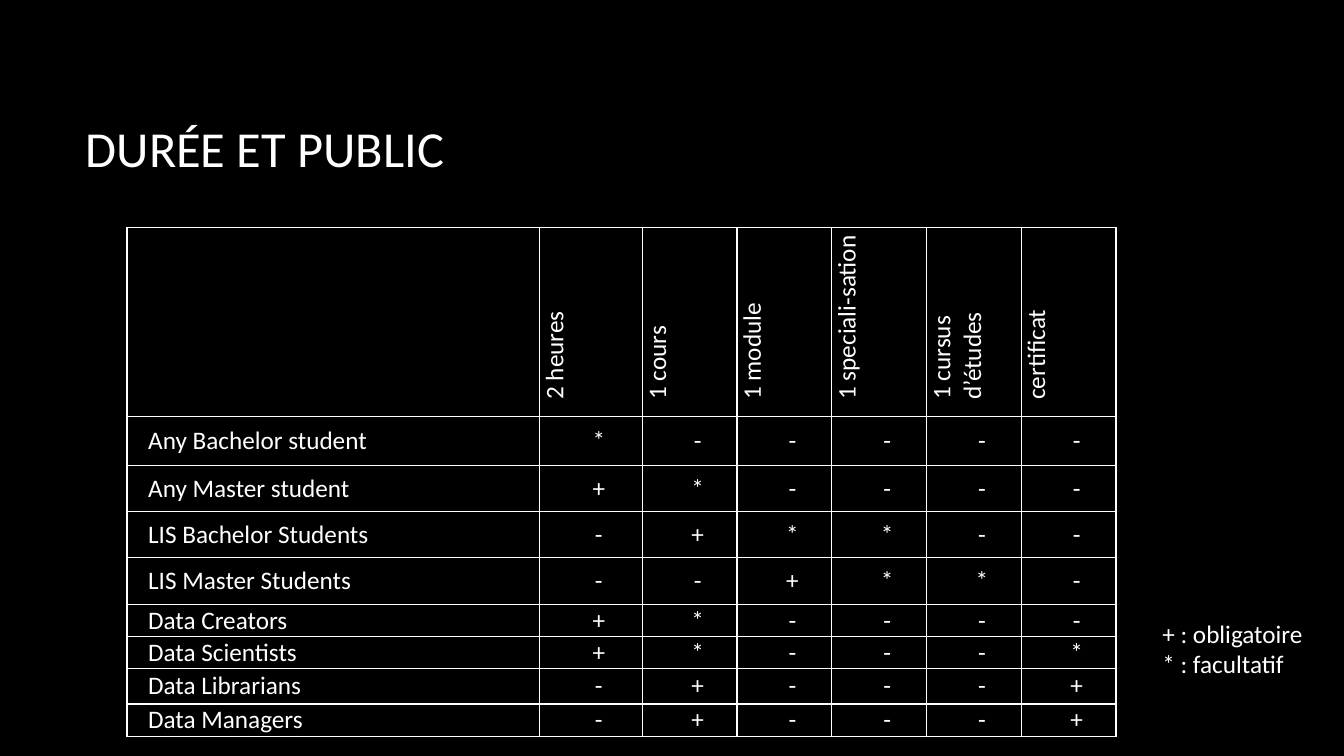
import pptx
import pptx.util
import pptx.dml.color
import pptx.enum.text
import pptx.oxml
import pptx.oxml.ns

Inches, Pt = pptx.util.Inches, pptx.util.Pt
ALIGN = pptx.enum.text.PP_ALIGN
MIDDLE = pptx.enum.text.MSO_ANCHOR.MIDDLE

# Content
TITLE = "DURÉE ET PUBLIC"
DURATIONS = ["2 heures", "1 cours", "1 module", "1 speciali-sation",
             "1 cursus d’études", "certificat"]
AUDIENCES = [
    ("Any Bachelor student", "*-----"),
    ("Any Master student", "+*----"),
    ("LIS Bachelor Students", "-+**--"),
    ("LIS Master Students", "--+**-"),
    ("Data Creators", "+*----"),
    ("Data Scientists", "+*---*"),
    ("Data Librarians", "-+---+"),
    ("Data Managers", "-+---+"),
]
LEGEND = ["+ : obligatoire", "* : facultatif"]

# Theme and layout
THEME = {"font": "Calibri", "ink": "FFFFFF", "back": "000000",
         "title": 36, "body": 18, "border": 1}
COL_WIDTHS = [4.09, 1.02] + [0.94] * 5
ROW_HEIGHTS = [1.41, 0.48, 0.46, 0.46, 0.46, 0.32, 0.32, 0.35, 0.32]
CELL_FORMAT = {"margin_left": Inches(0.05), "margin_right": Inches(0.05),
               "margin_top": 0, "margin_bottom": 0, "vertical_anchor": MIDDLE}
HEADER_INDENT = {"marL": Inches(0.12), "indent": 0}
BODY_INDENT = {"marL": 0, "indent": Inches(0.16)}


def color(name):
    return pptx.dml.color.RGBColor.from_string(THEME[name])


def write(p, text, size, align=ALIGN.LEFT, indent=None):
    p.alignment = align
    for name, value in (indent or {}).items():
        p._p.get_or_add_pPr().set(name, str(value))
    r = p.add_run()
    r.text = text
    for name, value in {"name": THEME["font"], "size": Pt(THEME[size])}.items():
        setattr(r.font, name, value)
    r.font.color.rgb = color("ink")


def add_borders(cell):
    tcPr = cell._tc.get_or_add_tcPr()
    for i, side in enumerate(("lnL", "lnR", "lnT", "lnB")):
        tcPr.insert(i, pptx.oxml.parse_xml(
            f'<a:{side} {pptx.oxml.ns.nsdecls("a")} w="{Pt(THEME["border"])}">'
            f'<a:solidFill><a:srgbClr val="{THEME["ink"]}"/></a:solidFill>'
            f'</a:{side}>'))


def add_title(slide):
    sp = slide.shapes.title
    box = {"left": 0.75, "top": 0.67, "width": 11.08, "height": 1.59}
    for name, value in box.items():
        setattr(sp, name, Inches(value))
    sp.text_frame.vertical_anchor = MIDDLE
    write(sp.text_frame.paragraphs[0], TITLE, "title")


def add_audience_table(slide):
    rows = [["", *DURATIONS]] + [[name, *marks] for name, marks in AUDIENCES]
    table = slide.shapes.add_table(
        len(rows), len(COL_WIDTHS), Inches(1.26), Inches(2.26),
        Inches(sum(COL_WIDTHS)), Inches(sum(ROW_HEIGHTS))).table
    table.first_row = table.horz_banding = False
    for col, width in zip(table.columns, COL_WIDTHS):
        col.width = Inches(width)
    for row, height in zip(table.rows, ROW_HEIGHTS):
        row.height = Inches(height)

    for i, texts in enumerate(rows):
        for j, text in enumerate(texts):
            cell = table.cell(i, j)
            for name, value in CELL_FORMAT.items():
                setattr(cell, name, value)
            cell.fill.background()
            add_borders(cell)
            if not text:
                continue
            if i == 0:
                cell._tc.get_or_add_tcPr().set("vert", "vert270")
            centred = i > 0 and j > 0
            write(cell.text_frame.paragraphs[0], text, "body",
                  ALIGN.CENTER if centred else ALIGN.LEFT,
                  BODY_INDENT if i else HEADER_INDENT)


def add_legend(slide):
    tf = slide.shapes.add_textbox(
        Inches(11.27), Inches(6.08), Inches(1.77), Inches(0.71)).text_frame
    tf.word_wrap = False
    tf.auto_size = pptx.enum.text.MSO_AUTO_SIZE.SHAPE_TO_FIT_TEXT
    for i, text in enumerate(LEGEND):
        p = tf.add_paragraph() if i else tf.paragraphs[0]
        write(p, text, "body", indent=BODY_INDENT)


def main():
    prs = pptx.Presentation()
    prs.slide_width, prs.slide_height = Inches(13.33), Inches(7.5)
    slide = prs.slides.add_slide(prs.slide_layouts[5])
    slide.background.fill.solid()
    slide.background.fill.fore_color.rgb = color("back")
    add_title(slide)
    add_audience_table(slide)
    add_legend(slide)
    prs.save("out.pptx")


if __name__ == "__main__":
    main()
